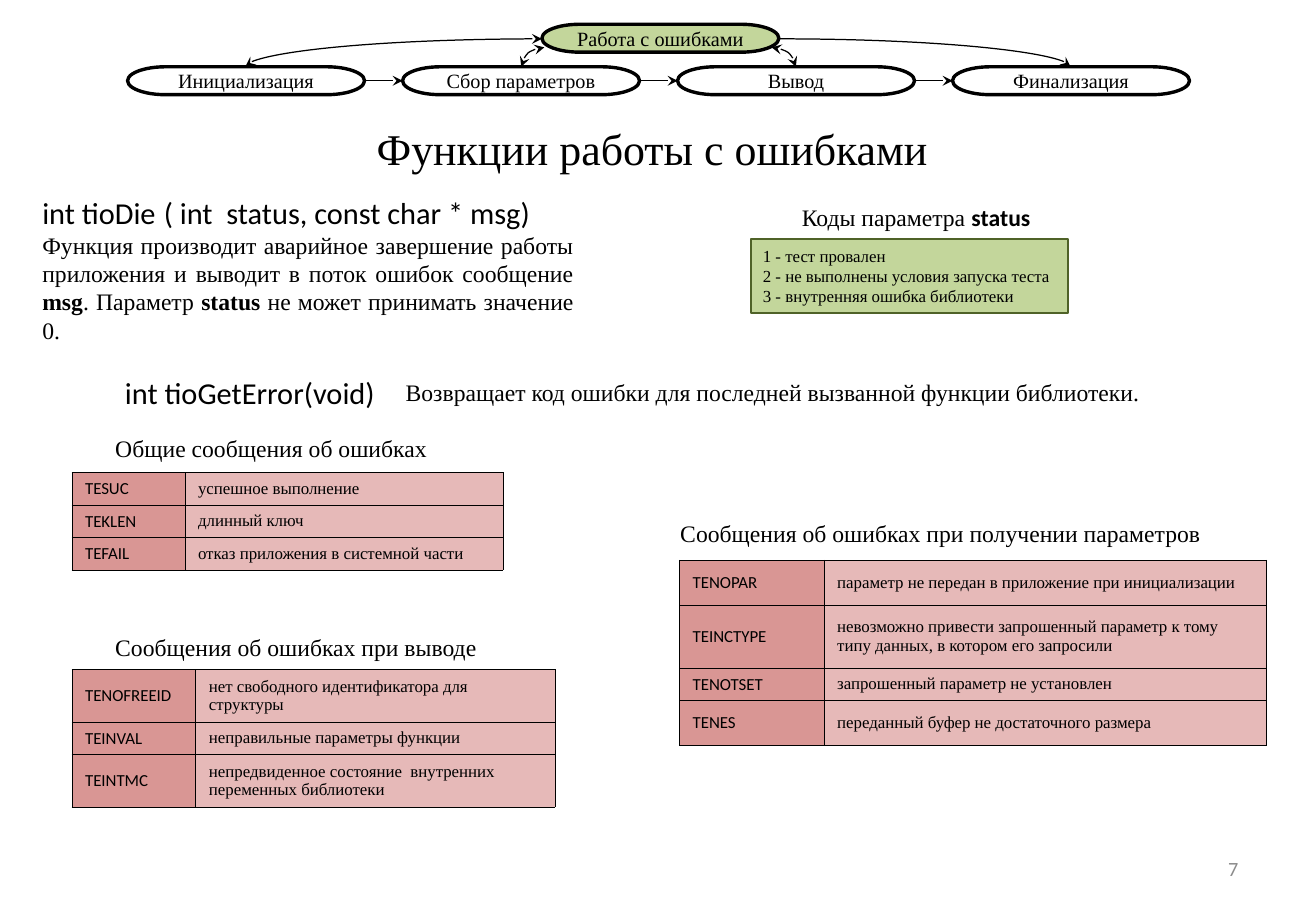
import dataclasses

import pptx
import pptx.dml.color
import pptx.enum.shapes
import pptx.enum.text
import pptx.util
from lxml import etree
from pptx.oxml.ns import qn

ALIGN = pptx.enum.text.PP_ALIGN
ANCHOR = pptx.enum.text.MSO_ANCHOR
SHAPE = pptx.enum.shapes.MSO_SHAPE
CONNECTOR = pptx.enum.shapes.MSO_CONNECTOR


@dataclasses.dataclass(frozen=True)
class Theme:
    serif: str = "Times New Roman"
    sans: str = "Calibri"
    ink: str = "000000"
    muted: str = "8C8C8C"
    green: str = "C3D69B"
    green_edge: str = "4F6228"
    code_fill: str = "D99694"
    note_fill: str = "E6B9B8"
    title: int = 26
    signature: int = 18
    body: int = 14
    step: int = 12
    small: int = 10


THEME = Theme()
COLS, ROWS = 108.3, 75  # grid of 0.1 inch cells


def cells(n):
    return pptx.util.Inches(n / 10)


def rgb(value):
    return pptx.dml.color.RGBColor.from_string(value)


def write(tf, text, size=THEME.body, font=THEME.serif, color=THEME.ink,
          align=ALIGN.LEFT, anchor=ANCHOR.TOP, wrap=True):
    """Each line is a string or a list of (text, bold, font) runs."""
    tf.word_wrap = wrap
    tf.vertical_anchor = anchor
    for i, line in enumerate(text if isinstance(text, list) else [text]):
        p = tf.add_paragraph() if i else tf.paragraphs[0]
        p.alignment = align
        for content, bold, face in [(line, False, font)] if isinstance(line, str) else line:
            r = p.add_run()
            r.text = content
            r.font.size, r.font.name, r.font.bold = pptx.util.Pt(size), face, bold
            r.font.color.rgb = rgb(color)


class Deck:
    def __init__(self, theme):
        self.theme = theme
        self.prs = pptx.Presentation()
        self.prs.slide_width, self.prs.slide_height = cells(COLS), cells(ROWS)
        self.s = self.prs.slides.add_slide(self.prs.slide_layouts[5])

    def title(self, text, x, y, w, h):
        sp = self.s.shapes.title
        sp.left, sp.top, sp.width, sp.height = map(cells, (x, y, w, h))
        write(sp.text_frame, text, size=self.theme.title, align=ALIGN.CENTER,
              anchor=ANCHOR.MIDDLE)

    def text(self, text, x, y, w, h, **fmt):
        sp = self.s.shapes.add_textbox(*map(cells, (x, y, w, h)))
        write(sp.text_frame, text, **fmt)

    def shape(self, kind, text, x, y, w, h, fill, edge, weight, inset=None, **fmt):
        sp = self.s.shapes.add_shape(kind, *map(cells, (x, y, w, h)))
        sp.shadow.inherit = False
        if fill:
            sp.fill.solid()
            sp.fill.fore_color.rgb = rgb(fill)
        else:
            sp.fill.background()
        sp.line.color.rgb, sp.line.width = rgb(edge), pptx.util.Pt(weight)
        tf = sp.text_frame
        if inset is not None:
            tf.margin_top = tf.margin_bottom = cells(inset)
        write(tf, text, **fmt)
        return sp

    def step(self, text, x, y, fill=None):
        return self.shape(SHAPE.FLOWCHART_TERMINATOR, text, x, y, 19.5, 2.3, fill,
                          self.theme.ink, 2, inset=0, size=self.theme.step,
                          align=ALIGN.CENTER, anchor=ANCHOR.MIDDLE)

    def line(self, kind, x1, y1, x2, y2, ends):
        c = self.s.shapes.add_connector(kind, *map(cells, (x1, y1, x2, y2)))
        c.line.color.rgb, c.line.width = rgb(self.theme.ink), pptx.util.Pt(0.75)
        ln = c.line._get_or_add_ln()
        for end in ends:
            etree.SubElement(ln, qn("a:" + end), type="stealth")
        etree.SubElement(c._element.spPr, qn("a:effectLst"))
        return c

    def arrow(self, a, b):
        c = self.line(CONNECTOR.STRAIGHT, 0, 0, 0, 0, ["tailEnd"])
        c.begin_connect(a, 3)
        c.end_connect(b, 1)

    def arc(self, x1, y1, x2, y2, both=True):
        ends = ["headEnd", "tailEnd"] if both else ["tailEnd"]
        c = self.line(CONNECTOR.CURVE, x1, y1, x2, y2, ends)
        c._element.spPr.find(qn("a:prstGeom")).set("prst", "curvedConnector2")

    def table(self, rows, x, y, widths, heights):
        t = self.s.shapes.add_table(len(rows), len(widths), cells(x), cells(y),
                                    cells(sum(widths)), cells(sum(heights))).table
        t.first_row = t.horz_banding = False
        for col, w in zip(t.columns, widths):
            col.width = cells(w)
        styles = ((self.theme.sans, self.theme.code_fill),
                  (self.theme.serif, self.theme.note_fill))
        for i, row in enumerate(rows):
            t.rows[i].height = cells(heights[i])
            for j, (text, (font, fill)) in enumerate(zip(row, styles)):
                self.cell(t.cell(i, j), text, font, fill)

    def cell(self, cell, text, font, fill):
        cell.fill.solid()
        cell.fill.fore_color.rgb = rgb(fill)
        cell.margin_left = cell.margin_right = cells(1.1)
        cell.margin_top = cell.margin_bottom = cells(0.5)
        write(cell.text_frame, text, size=self.theme.small, font=font)
        cell.vertical_anchor = ANCHOR.MIDDLE
        tc_pr = cell._tc.get_or_add_tcPr()
        for k, side in enumerate(("lnL", "lnR", "lnT", "lnB")):
            ln = etree.Element(qn("a:" + side), w=str(pptx.util.Pt(0.25)))
            paint = etree.SubElement(ln, qn("a:solidFill"))
            etree.SubElement(paint, qn("a:srgbClr"), val=self.theme.ink)
            tc_pr.insert(k, ln)


def main():
    d, th = Deck(THEME), THEME

    # Stage diagram
    names = ["Инициализация", "Cбор параметров", "Вывод", "Финализация"]
    steps = [d.step(name, 10.5 + 22.63 * i, 5.5) for i, name in enumerate(names)]
    d.step("Работа с ошибками", 44.6, 2, fill=th.green)
    for a, b in zip(steps, steps[1:]):
        d.arrow(a, b)
    d.arc(44.6, 3.2, 20.2, 5.5)
    d.arc(44.8, 3.9, 42.9, 5.5)
    d.arc(63.5, 3.9, 65.5, 5.5)
    d.arc(64.1, 3.2, 88.1, 5.5, both=False)

    # Title and function descriptions
    d.title("Функции работы с ошибками ", 0, 9.4, COLS, 5.5)
    signature = dict(size=th.signature, font=th.sans)
    d.text("int tioDie\t( int  status, const char * msg)", 2.5, 15.5, 47.4, 4, **signature)
    d.text([[("Функция производит аварийное завершение работы приложения и выводит "
              "в поток ошибок сообщение ", False, th.serif),
             ("msg", True, th.serif), (". Параметр ", False, th.serif),
             ("status ", True, th.serif),
             ("не может принимать значение 0. ", False, th.serif)]],
           2.5, 18.5, 45.7, 10.4, align=ALIGN.JUSTIFY)
    d.text("int tioGetError(void)", 9.3, 30.3, 24.5, 4, **signature)
    d.text("Возвращает код ошибки для последней вызванной функции библиотеки.",
           32.4, 30.6, 63.4, 3.4, wrap=False)

    # Status codes
    d.text([[("Коды параметра ", False, th.serif), ("status", True, th.sans)]],
           65, 16.2, 21, 3.4, wrap=False)
    d.shape(SHAPE.RECTANGLE,
            ["1 - тест провален", "2 - не выполнены условия запуска теста",
             "3 - внутренняя ошибка библиотеки"],
            61.8, 19.7, 26.1, 6.1, th.green, th.green_edge, 1, size=th.small, wrap=False)

    # Error tables
    d.text("Общие сообщения об ошибках", 8.5, 35.2, 27.9, 3.4, wrap=False)
    d.table([("TESUC", "успешное выполнение"),
             ("TEKLEN", "длинный ключ"),
             ("TEFAIL", "отказ приложения в системной части")],
            5.9, 38.9, (9.3, 26.2), (2.67, 2.67, 2.67))
    d.text("Сообщения об ошибках при выводе", 8.5, 51.6, 32, 3.4, wrap=False)
    d.table([("TENOFREEID", "нет свободного идентификатора для  структуры"),
             ("TEINVAL", "неправильные параметры функции"),
             ("TEINTMC", "непредвиденное состояние  внутренних переменных библиотеки")],
            5.9, 55.1, (10.2, 29.6), (4.33, 2.67, 4.33))
    d.text("Сообщения об ошибках при получении параметров", 55, 42.2, 45.7, 3.4, wrap=False)
    d.table([("TENOPAR", "параметр не передан в приложение при инициализации"),
             ("TEINCTYPE", "невозможно привести запрошенный параметр к тому типу данных, "
                           "в котором его запросили"),
             ("TENOTSET", "запрошенный параметр не установлен"),
             ("TENES", "переданный буфер не достаточного размера")],
            55.9, 46.1, (11.9, 36.4), (3.7, 5.2, 2.67, 3.7))

    # Slide number
    d.text("7", 77.6, 69.5, 25.3, 4, size=th.step, font=th.sans, color=th.muted,
           align=ALIGN.RIGHT, anchor=ANCHOR.MIDDLE)
    d.prs.save("out.pptx")


if __name__ == "__main__":
    main()
